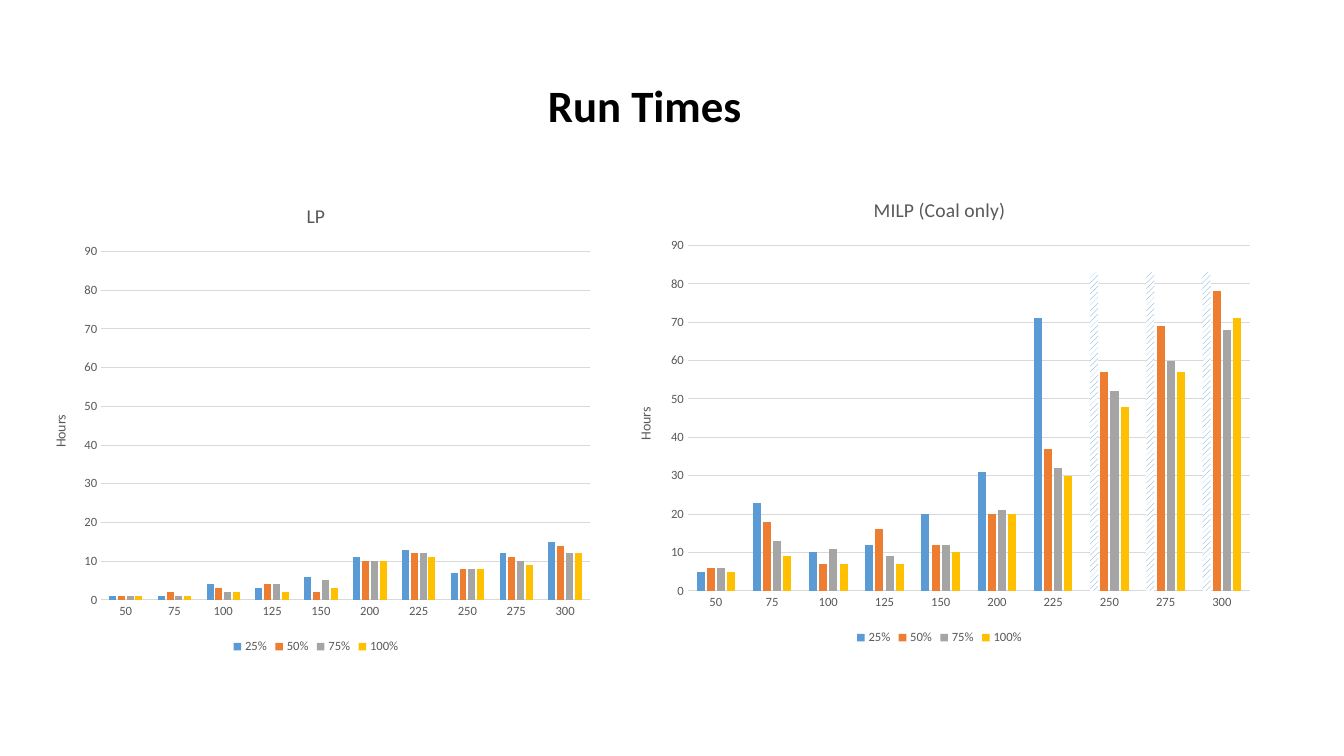
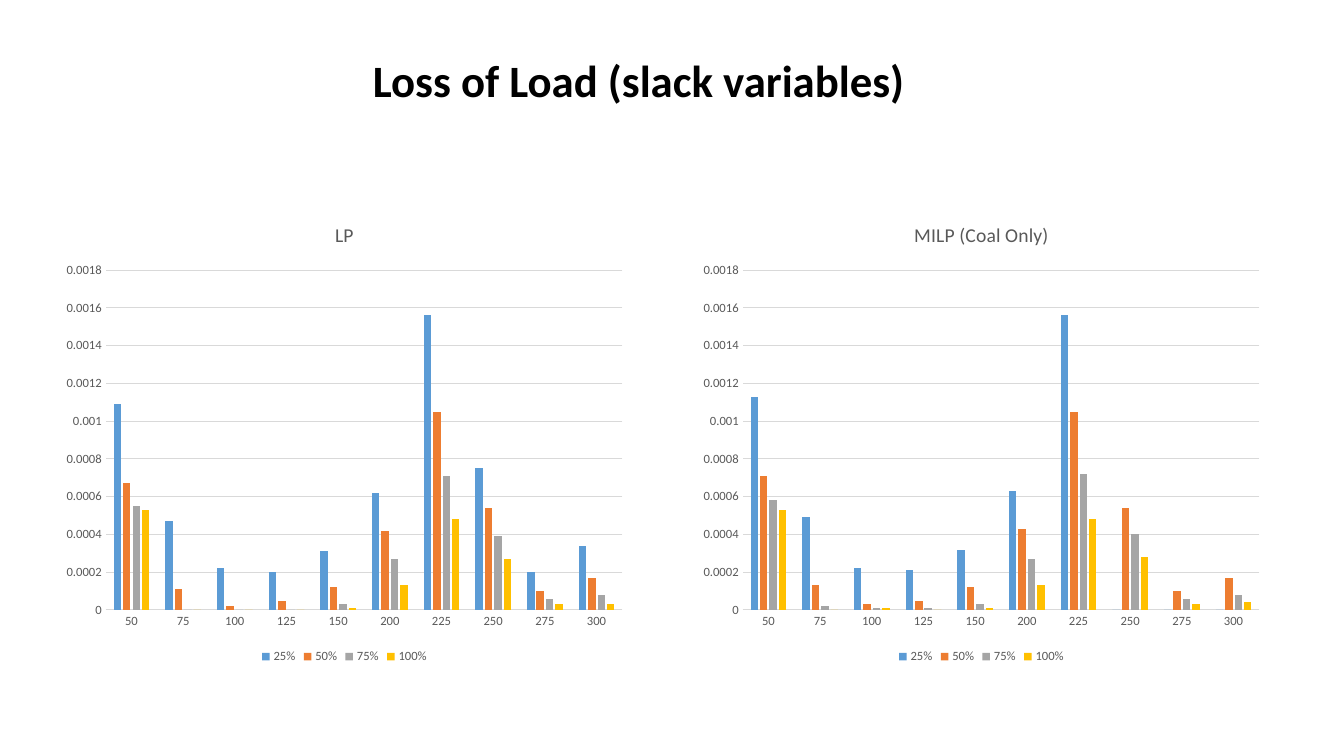
from pptx import Presentation
from pptx.chart.data import CategoryChartData
from pptx.dml.color import RGBColor
from pptx.enum.chart import XL_CHART_TYPE, XL_LEGEND_POSITION, XL_TICK_MARK
from pptx.enum.dml import MSO_PATTERN
from pptx.util import Emu, Pt

EMU_PER_PIXEL = 914400 / 100.8
FONT = "Calibri"
BLACK, WHITE, GRAY, GRID = "000000", "FFFFFF", "595959", "D9D9D9"
SERIES_COLORS = {"25%": "5B9BD5", "50%": "ED7D31", "75%": "A5A5A5", "100%": "FFC000"}
CATEGORIES = ["50", "75", "100", "125", "150", "200", "225", "250", "275", "300"]

LP_HOURS = [
    [1, 1, 4, 3, 6, 11, 13, 7, 12, 15],
    [1, 2, 3, 4, 2, 10, 12, 8, 11, 14],
    [1, 1, 2, 4, 5, 10, 12, 8, 10, 12],
    [1, 1, 2, 2, 3, 10, 11, 8, 9, 12],
]
MILP_HOURS = [
    [5, 23, 10, 12, 20, 31, 71, 83, 83, 83],
    [6, 18, 7, 16, 12, 20, 37, 57, 69, 78],
    [6, 13, 11, 9, 12, 21, 32, 52, 60, 68],
    [5, 9, 7, 7, 10, 20, 30, 48, 57, 71],
]
# Loss of load is listed in units of 0.00001.
LOSS_UNITS = 100000
LP_LOSS = [
    [109, 47, 22, 20, 31, 62, 156, 75, 20, 34],
    [67, 11, 2, 5, 12, 42, 105, 54, 10, 17],
    [55, 0, 0, 0, 3, 27, 71, 39, 6, 8],
    [53, 0, 0, 0, 1, 13, 48, 27, 3, 3],
]
MILP_LOSS = [
    [113, 49, 22, 21, 32, 63, 156, 0, 0, 0],
    [71, 13, 3, 5, 12, 43, 105, 54, 10, 17],
    [58, 2, 1, 1, 3, 27, 72, 40, 6, 8],
    [53, 0, 1, 0, 1, 13, 48, 28, 3, 4],
]


def pixels(*lengths):
    """Turn pixel lengths into EMU."""
    return [Emu(round(length * EMU_PER_PIXEL)) for length in lengths]


def color(value):
    """Turn a hex string into a colour."""
    return RGBColor.from_string(value)


def style_font(font, size, hex_color, bold=False):
    """Set the shared typeface with a size, colour and weight."""
    font.name = FONT
    font.size = Pt(size)
    font.bold = bold
    font.color.rgb = color(hex_color)


def add_title(slide, text, box):
    """Add the bold slide title."""
    frame = slide.shapes.add_textbox(*pixels(*box)).text_frame
    frame.word_wrap = True
    paragraph = frame.paragraphs[0]
    paragraph.text = text
    style_font(paragraph.font, 32, BLACK, bold=True)


def set_heading(owner, text, size):
    """Title a chart or an axis."""
    title = owner.chart_title if hasattr(owner, "chart_title") else owner.axis_title
    paragraph = title.text_frame.paragraphs[0]
    paragraph.text = text
    style_font(paragraph.font, size, GRAY)


def style_line(line, hex_color):
    """Give a chart line its colour and thin width."""
    line.color.rgb = color(hex_color)
    line.width = Pt(0.75)


def style_axes(chart, maximum, step, axis_title):
    """Style both axes and scale the value axis."""
    for axis in (chart.category_axis, chart.value_axis):
        axis.major_tick_mark = axis.minor_tick_mark = XL_TICK_MARK.NONE
        style_font(axis.tick_labels.font, 9, GRAY)
    style_line(chart.category_axis.format.line, GRID)

    values = chart.value_axis
    values.minimum_scale, values.maximum_scale, values.major_unit = 0, maximum, step
    values.tick_labels.number_format = "General"
    values.tick_labels.number_format_is_linked = False
    values.format.line.fill.background()
    style_line(values.major_gridlines.format.line, GRID)
    if axis_title:
        set_heading(values, axis_title, 10)


def add_column_chart(slide, title, box, rows, maximum, step, axis_title=None):
    """Add a clustered column chart with one series per percentage."""
    data = CategoryChartData()
    data.categories = CATEGORIES
    for name, row in zip(SERIES_COLORS, rows):
        data.add_series(name, row)
    chart = slide.shapes.add_chart(
        XL_CHART_TYPE.COLUMN_CLUSTERED, *pixels(*box), data).chart
    style_font(chart.font, 10, BLACK)
    set_heading(chart, title, 14)
    style_axes(chart, maximum, step, axis_title)

    chart.has_legend = True
    chart.legend.position = XL_LEGEND_POSITION.BOTTOM
    chart.legend.include_in_layout = False
    style_font(chart.legend.font, 9, GRAY)

    plot = chart.plots[0]
    plot.vary_by_categories = False
    plot.gap_width, plot.overlap = 219, -27
    for series in plot.series:
        series.format.fill.solid()
        series.format.fill.fore_color.rgb = color(SERIES_COLORS[series.name])
        series.invert_if_negative = False
    return chart


def hatch_points(series, indexes):
    """Fill chosen columns with diagonal stripes."""
    for index in indexes:
        fill = series.points[index].format.fill
        fill.patterned()
        fill.pattern = MSO_PATTERN.WIDE_UPWARD_DIAGONAL
        fill.fore_color.rgb = color(SERIES_COLORS[series.name])
        fill.back_color.rgb = color(WHITE)


def build_run_times(slide):
    """Compare run times in hours."""
    add_column_chart(slide, "LP", (31, 184, 570, 474), LP_HOURS, 90, 10, "Hours")
    milp_chart = add_column_chart(
        slide, "MILP (Coal only)", (616, 178, 647, 471), MILP_HOURS, 90, 10, "Hours")
    hatch_points(milp_chart.plots[0].series[0], (7, 8, 9))
    add_title(slide, "Run Times", (538, 73, 301, 65))


def build_loss_of_load(slide):
    """Compare the loss of load."""
    add_title(slide, "Loss of Load (slack variables)", (363, 48, 601, 65))
    charts = (("MILP (Coal Only)", 692, MILP_LOSS), ("LP", 55, LP_LOSS))
    for title, left, units in charts:
        rows = [[unit / LOSS_UNITS for unit in row] for row in units]
        add_column_chart(slide, title, (left, 203, 579, 465), rows, 0.0018, 0.0002)


def main():
    """Build and save the presentation."""
    presentation = Presentation()
    presentation.slide_width, presentation.slide_height = pixels(1344, 756)
    for build in (build_run_times, build_loss_of_load):
        build(presentation.slides.add_slide(presentation.slide_layouts[6]))
    presentation.save("out.pptx")


main()
